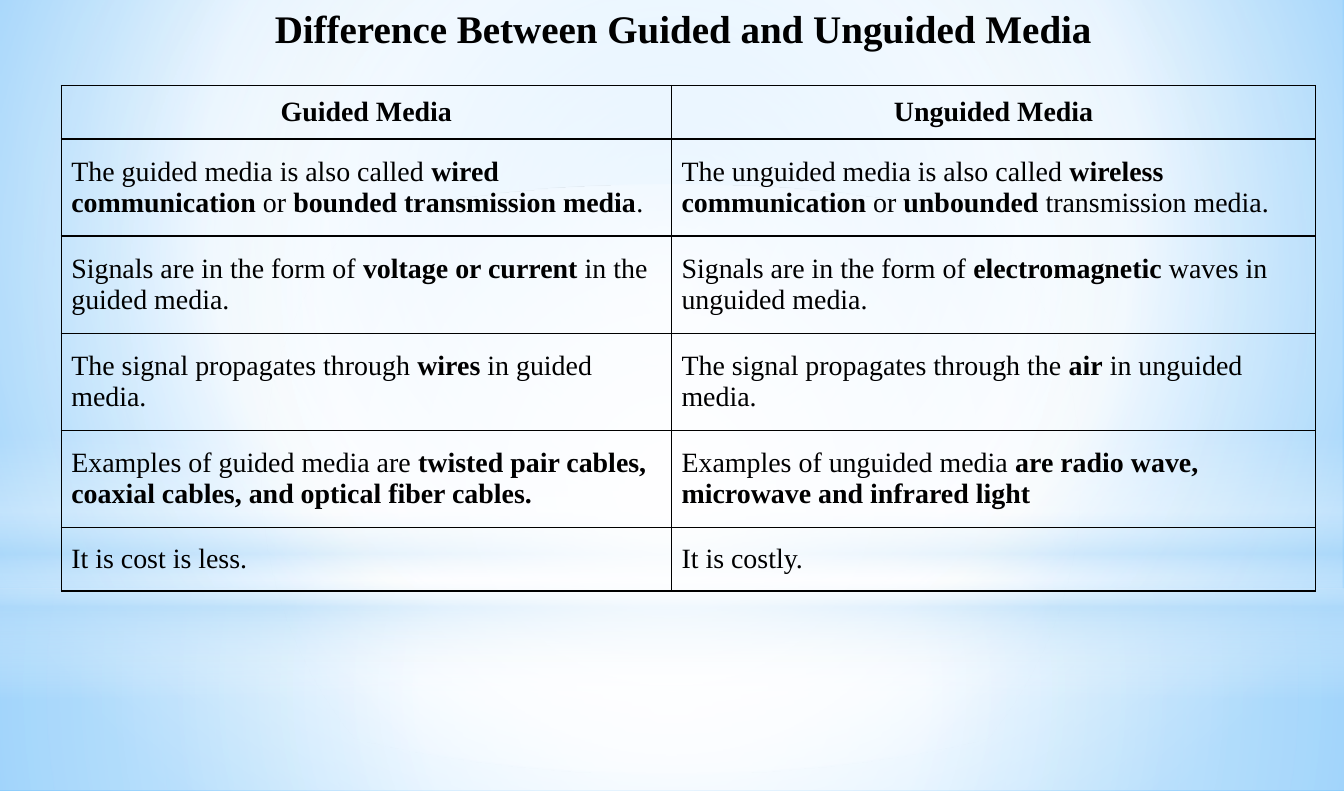
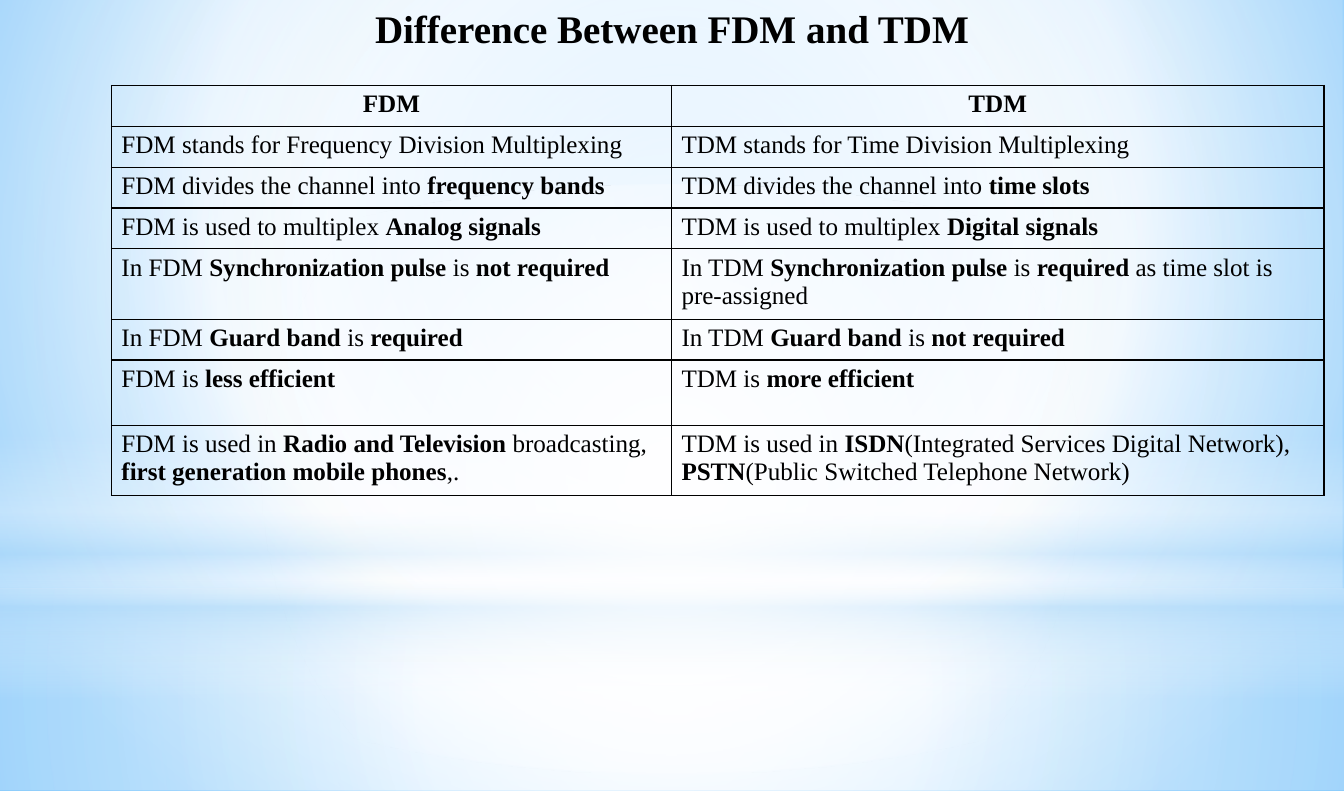
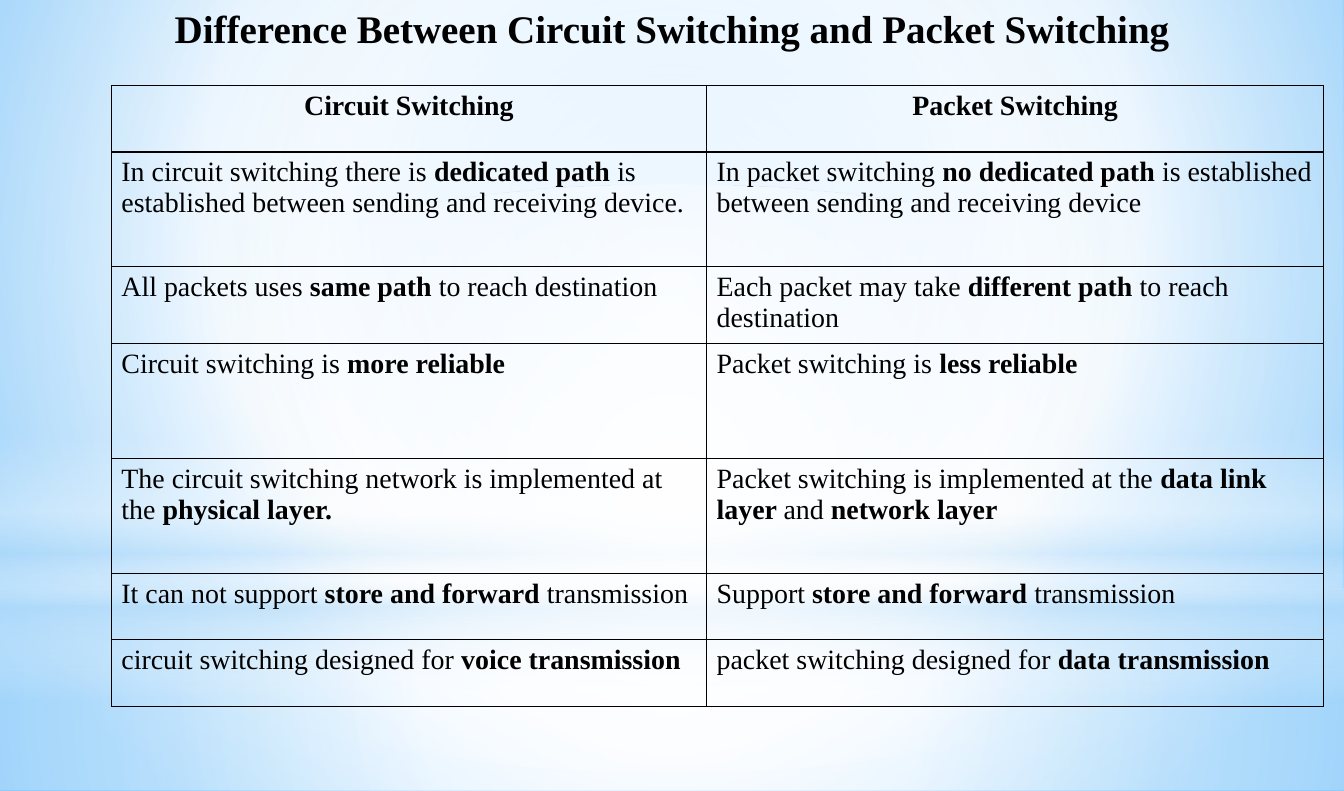
from pptx import Presentation
from pptx.dml.color import RGBColor as RGB
from pptx.enum.shapes import MSO_SHAPE as Geo
from pptx.enum.text import MSO_ANCHOR as Anchor, PP_ALIGN as Align
from pptx.oxml.ns import qn
from pptx.util import Inches, Pt
from lxml.etree import SubElement as Sub

WIDE, HIGH = Inches(13.39), Inches(7.88)
FONT = "Times New Roman"
BLACK = RGB(0x00, 0x00, 0x00)
WHITE = RGB(0xFF, 0xFF, 0xFF)
SKY = RGB(0x9E, 0xD5, 0xFF)
BLUE = RGB(0x5B, 0xB9, 0xFF)
MIST = RGB(0xB4, 0xDC, 0xFA)
MID = (50, 50, 50, 50)


def across(share):
    """Percent of the slide's width."""
    return int(WIDE * share / 100)


def down(share):
    """Percent of the slide's height."""
    return int(HIGH * share / 100)


def place(box):
    x, y, w, h = box
    return across(x), down(y), across(w), down(h)


def blend(props, stops, focus=None):
    """Turn a solid fill into a gradient; stops are (place, colour, opacity)."""
    old = props.find(qn("a:solidFill"))
    grad = Sub(props, qn("a:gradFill"), rotWithShape="1")
    props.replace(old, grad)
    items = Sub(grad, qn("a:gsLst"))
    for pos, tone, alpha in stops:
        stop = Sub(items, qn("a:gs"), pos=str(pos * 1000))
        tint = Sub(stop, qn("a:srgbClr"), val=str(tone))
        if alpha < 100:
            Sub(tint, qn("a:alpha"), val=str(alpha * 1000))
    if focus:
        round_ = Sub(grad, qn("a:path"), path="circle")
        sides = {k: str(v * 1000) for k, v in zip("ltrb", focus)}
        Sub(round_, qn("a:fillToRect"), sides)
    else:
        Sub(grad, qn("a:lin"), ang="5400000", scaled="0")


def scene(master, slide):
    """Give the master its background and soft light bands."""
    master.background.fill.solid()
    back = next(master.element.iter(qn("p:bgPr")))
    blend(back, [(0, SKY, 100), (60, WHITE, 100), (100, BLUE, 100)],
          (20, 10, 20, 60))
    bands = [
        # Floor
        (Geo.RECTANGLE, (0, 74.4, 100, 25.6), MID,
         [(0, WHITE, 91), (37, WHITE, 76), (100, MIST, 79)]),
        # Wall
        (Geo.RECTANGLE, (0, 0, 100, 74.4), MID,
         [(0, WHITE, 89), (48, WHITE, 62), (100, MIST, 79)]),
        # Horizon
        (Geo.RECTANGLE, (0, 55, 100, 33.3), None,
         [(0, WHITE, 0), (29, WHITE, 30), (45, MIST, 40),
          (55, WHITE, 26), (65, MIST, 60), (100, WHITE, 0)]),
        # Glow
        (Geo.OVAL, (0, 23.4, 100, 74.4), MID,
         [(0, WHITE, 100), (56, WHITE, 0)]),
    ]
    for num, (geo, box, focus, stops) in enumerate(bands, 101):
        band = slide.shapes.add_shape(geo, *place(box))
        band.shadow.inherit = False
        band.line.fill.background()
        band.fill.solid()
        blend(band.element.spPr, stops, focus)
        band.element.nvSpPr.cNvPr.set("id", str(num))
        master.shapes.element.append(band.element)


def write(frame, text, size=20, bold=False, align=Align.LEFT):
    """Fill a frame; ** switches bold, a line break starts a paragraph."""
    frame.word_wrap = True
    for i, line in enumerate(text.split("\n")):
        para = frame.add_paragraph() if i else frame.paragraphs[0]
        para.alignment = align
        for j, part in enumerate(line.split("**")):
            if part:
                run = para.add_run()
                run.text = part
                font = run.font
                font.name, font.size = FONT, Pt(size)
                font.bold = bold or j % 2 == 1
                font.color.rgb = BLACK


def title(slide, box, text):
    frame = slide.shapes.add_textbox(*place(box)).text_frame
    frame.vertical_anchor = Anchor.MIDDLE
    write(frame, text, size=28, bold=True, align=Align.CENTER)


def frame_cell(cell):
    """Clear the fill and draw thin black borders."""
    cell.fill.background()
    props = cell._tc.get_or_add_tcPr()
    for i, side in enumerate("LRTB"):
        line = Sub(props, qn("a:ln" + side), w=str(Pt(1)))
        Sub(Sub(line, qn("a:solidFill")), qn("a:srgbClr"), val=str(BLACK))
        props.insert(i, line)


def grid(slide, box, split, rows, cells, size, roomy):
    """Two-column table; split is the left column's percent of the width."""
    x, y, w, h = place((*box, sum(rows)))
    table = slide.shapes.add_table(len(rows), 2, x, y, w, h).table
    table.first_row = table.horz_banding = False
    left = int(w * split / 100)
    table.columns[0].width, table.columns[1].width = left, w - left
    for r, (high, pair) in enumerate(zip(rows, cells)):
        table.rows[r].height = down(high)
        head = r == 0
        for c, text in enumerate(pair):
            cell = table.cell(r, c)
            frame_cell(cell)
            if roomy:
                cell.vertical_anchor = Anchor.MIDDLE
                pad = Inches(0.1 if head else 0.15)
                cell.margin_top = cell.margin_bottom = pad
            write(cell.text_frame, text, size=size, bold=head,
                  align=Align.CENTER if head else Align.LEFT)


def compare(slide, head, cells, rows, split, size=20, left=8.29, wide=90.22,
            shift=0, roomy=False):
    """A comparison slide: title above a table."""
    title(slide, (5 + shift, 0.13, 90, 6.73), head)
    grid(slide, (left, 10.79, wide), split, rows, cells, size, roomy)


MEDIA = [
    ("Guided Media", "Unguided Media"),
    ("The guided media is also called **wired communication** or "
     "**bounded transmission media**.",
     "The unguided media is also called **wireless communication** or "
     "**unbounded** transmission media."),
    ("Signals are in the form of **voltage or current **in the guided media.",
     "Signals are in the form of **electromagnetic** waves in unguided media."),
    ("The signal propagates through **wires** in guided media.",
     "The signal propagates through the **air** in unguided media."),
    ("Examples of guided media are **twisted pair cables, coaxial cables, "
     "and optical fiber cables.**",
     "Examples of unguided media **are radio wave, microwave and "
     "infrared light**"),
    ("It is cost is less.", "It is costly."),
]
MUX = [
    ("FDM", "TDM"),
    ("FDM stands for Frequency Division Multiplexing",
     "TDM stands for Time Division Multiplexing"),
    ("FDM divides the channel into **frequency bands**",
     "TDM divides the channel into **time slots**"),
    ("FDM is used to multiplex **Analog signals**",
     "TDM is used to multiplex **Digital signals**"),
    ("In FDM **Synchronization pulse** is **not required**",
     "In TDM **Synchronization pulse **is **required** as time slot is "
     "pre-assigned"),
    ("In FDM **Guard band** is **required**",
     "In TDM **Guard band** is **not required**"),
    ("FDM is **less efficient**", "TDM is **more efficient**"),
    ("FDM is used in **Radio and Television **broadcasting,\n"
     "**first generation mobile phones**,.",
     "TDM is used in **ISDN**(Integrated Services Digital Network),\n"
     "**PSTN**(Public Switched Telephone Network)"),
]
SWITCH = [
    ("Circuit Switching", "Packet Switching"),
    ("In circuit switching there is **dedicated path **is established "
     "between sending and receiving device.",
     "In packet switching **no dedicated path **is established between "
     "sending and receiving device"),
    ("All packets uses **same path **to reach destination",
     "Each packet may take **different path **to reach destination"),
    ("Circuit switching is **more reliable**",
     "Packet switching is **less reliable**"),
    ("The circuit switching network is implemented at the "
     "**physical layer.**",
     "Packet switching is implemented at the **data link layer **and "
     "**network layer**"),
    ("It can not support **store and forward **transmission",
     "Support **store and forward **transmission"),
    ("circuit switching designed for **voice transmission**",
     "packet switching designed for **data transmission**"),
]


def main():
    deck = Presentation()
    deck.slide_width, deck.slide_height = WIDE, HIGH
    blank = deck.slide_layouts[6]
    one, two, three = [deck.slides.add_slide(blank) for _ in range(3)]
    scene(deck.slide_master, one)
    compare(one, "Difference Between Guided and Unguided Media", MEDIA,
            [6.6] + [11.55] * 4 + [7.61], 48.64,
            left=4.56, wide=93.35, shift=0.83, roomy=True)
    compare(two, "Difference Between FDM and TDM", MUX,
            [5.17] * 4 + [8.27, 5.17, 8.27, 8.27], 46.19, size=18)
    compare(three, "Difference Between Circuit Switching and Packet Switching",
            SWITCH, [8.43, 14.5, 9.1, 14.5, 14.5, 8.43, 8.43], 49.09)
    deck.save("out.pptx")


if __name__ == "__main__":
    main()
